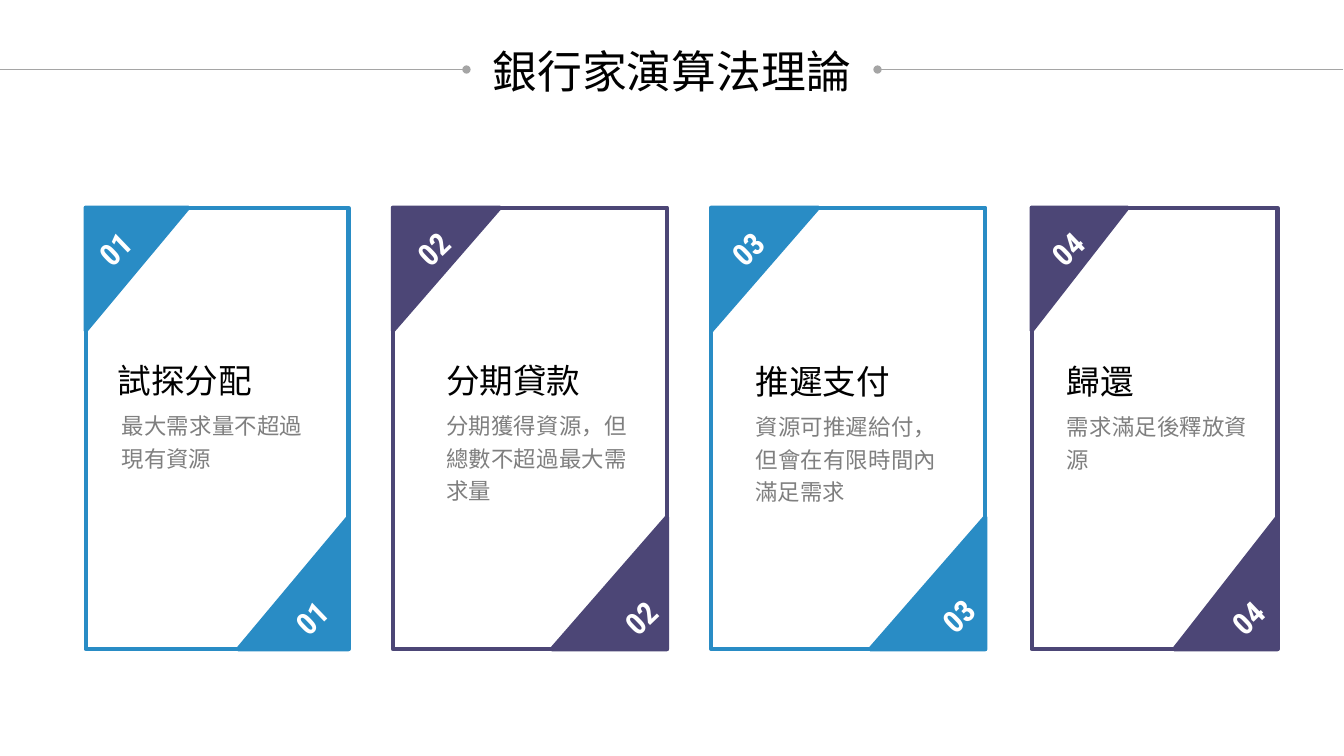
from lxml import etree
from pptx import Presentation
from pptx.dml.color import RGBColor
from pptx.enum.shapes import MSO_CONNECTOR, MSO_SHAPE
from pptx.enum.text import MSO_AUTO_SIZE, PP_ALIGN
from pptx.oxml.ns import qn
from pptx.util import Inches, Pt

STRAIGHT = MSO_CONNECTOR.STRAIGHT
RECTANGLE, TRIANGLE = MSO_SHAPE.RECTANGLE, MSO_SHAPE.RIGHT_TRIANGLE
CENTER, JUSTIFY = PP_ALIGN.CENTER, PP_ALIGN.JUSTIFY
FIT_SHAPE, FIT_NONE = MSO_AUTO_SIZE.SHAPE_TO_FIT_TEXT, MSO_AUTO_SIZE.NONE

BLUE = RGBColor(0x29, 0x8C, 0xC5)
PURPLE = RGBColor(0x4C, 0x46, 0x76)
RULE_GRAY = RGBColor(0xA5, 0xA5, 0xA5)
TEXT_GRAY = RGBColor(0x7F, 0x7F, 0x7F)
BLACK = RGBColor(0, 0, 0)
WHITE = RGBColor(0xFF, 0xFF, 0xFF)
NUMBER_FONT, HEADING_FONT, BODY_FONT = "Roboto Condensed", "Noto Sans CJK JP", "Arial"

SLIDE_WIDTH, SLIDE_HEIGHT = 13.34, 7.5
TITLE = "銀行家演算法理論"
RULE_Y = 0.69
RULES = [(0, 4.63, "tailEnd"), (8.71, 13.33, "headEnd")]

# number, colour, left, width, heading, heading position, body, body position, body height, number positions
CARDS = [
    dict(number="01", color=BLUE, left=0.85, width=2.61,
         heading="試探分配", heading_at=(1.07, 3.44),
         body="最大需求量不超過現有資源", body_at=(1.11, 3.99), body_height=0.74,
         number_width=0.4, numbers_at=[(0.92, 2.24), (2.87, 5.9)]),
    dict(number="02", color=PURPLE, left=3.9, width=2.72,
         heading="分期貸款", heading_at=(4.33, 3.44),
         body="分期獲得資源，但總數不超過最大需求量", body_at=(4.33, 3.99), body_height=1.06,
         number_width=0.42, numbers_at=[(4.07, 2.24), (6.13, 5.9)]),
    dict(number="03", color=BLUE, left=7.06, width=2.72,
         heading="推遲支付", heading_at=(7.4, 3.45),
         body="資源可推遲給付，但會在有限時間內滿足需求", body_at=(7.4, 4), body_height=1.06,
         number_width=0.42, numbers_at=[(7.19, 2.24), (9.28, 5.88)]),
    dict(number="04", color=PURPLE, left=10.24, width=2.44,
         heading="歸還", heading_at=(10.49, 3.45),
         body="需求滿足後釋放資源", body_at=(10.49, 4), body_height=0.74,
         number_width=0.37, numbers_at=[(10.39, 2.24), (12.18, 5.9)]),
]
CARD_TOP, CARD_HEIGHT = 2.06, 4.38
TOP_SHARE, TOP_HEIGHT = 0.39, 1.22
BOTTOM_SHARE, BOTTOM_HEIGHT = 0.42, 1.31
TEXT_WIDTH, HEADING_HEIGHT, NUMBER_HEIGHT = 1.99, 0.58, 0.41
NUMBER_ROTATION = 316.1


def add_outlined(slide, kind, left, top, width, height, color, filled=False):
    shape = slide.shapes.add_shape(kind, Inches(left), Inches(top), Inches(width), Inches(height))
    shape.shadow.inherit = False
    shape.line.color.rgb = color
    shape.line.width = Pt(3)
    if filled:
        shape.fill.solid()
        shape.fill.fore_color.rgb = color
    else:
        shape.fill.background()
    return shape


def add_corner(slide, left, top, width, height, color, rotation):
    shape = add_outlined(slide, TRIANGLE, left + (width - height) / 2, top + (height - width) / 2,
                         height, width, color, filled=True)
    shape.rotation = rotation


def add_text(slide, text, position, width, height, font, size, color,
             align=JUSTIFY, wrap=True, fit=FIT_SHAPE, bold=False, spacing=None, rotation=0):
    left, top = position
    box = slide.shapes.add_textbox(Inches(left), Inches(top), Inches(width), Inches(height))
    box.rotation = rotation
    frame = box.text_frame
    frame.word_wrap = wrap
    frame.auto_size = fit
    paragraph = frame.paragraphs[0]
    paragraph.text = text
    paragraph.alignment = align
    paragraph.line_spacing = spacing
    paragraph.font.name = font
    paragraph.font.size = Pt(size)
    paragraph.font.bold = bold
    paragraph.font.color.rgb = color


def add_rule(slide, start, end, dot_end):
    rule = slide.shapes.add_connector(STRAIGHT, Inches(start), Inches(RULE_Y), Inches(end), Inches(RULE_Y))
    rule.line.color.rgb = RULE_GRAY
    rule.line.width = Pt(0.5)
    properties = rule._element.spPr
    etree.SubElement(properties.find(qn("a:ln")), qn(f"a:{dot_end}"), type="oval")
    etree.SubElement(properties, qn("a:effectLst"))


def add_card(slide, card):
    left, width, color = card["left"], card["width"], card["color"]
    add_outlined(slide, RECTANGLE, left, CARD_TOP, width, CARD_HEIGHT, color)
    add_corner(slide, left, CARD_TOP, width * TOP_SHARE, TOP_HEIGHT, color, 90)
    bottom_width = width * BOTTOM_SHARE
    add_corner(slide, left + width - bottom_width, CARD_TOP + CARD_HEIGHT - BOTTOM_HEIGHT,
               bottom_width, BOTTOM_HEIGHT, color, 270)
    for position in card["numbers_at"]:
        add_text(slide, card["number"], position, card["number_width"], NUMBER_HEIGHT,
                 NUMBER_FONT, 22, WHITE, align=CENTER, wrap=False, fit=FIT_NONE,
                 bold=True, rotation=NUMBER_ROTATION)
    add_text(slide, card["body"], card["body_at"], TEXT_WIDTH, card["body_height"],
             BODY_FONT, 16, TEXT_GRAY, spacing=1.2)
    add_text(slide, card["heading"], card["heading_at"], TEXT_WIDTH, HEADING_HEIGHT,
             HEADING_FONT, 24, BLACK, spacing=1.2)


def main():
    presentation = Presentation()
    presentation.slide_width = Inches(SLIDE_WIDTH)
    presentation.slide_height = Inches(SLIDE_HEIGHT)
    slide = presentation.slides.add_slide(presentation.slide_layouts[6])
    for start, end, dot_end in RULES:
        add_rule(slide, start, end, dot_end)
    add_text(slide, TITLE, (4.79, 0.38), 3.76, 0.64, NUMBER_FONT, 32, BLACK, align=CENTER, wrap=False)
    for card in CARDS:
        add_card(slide, card)
    presentation.save("out.pptx")


if __name__ == "__main__":
    main()
